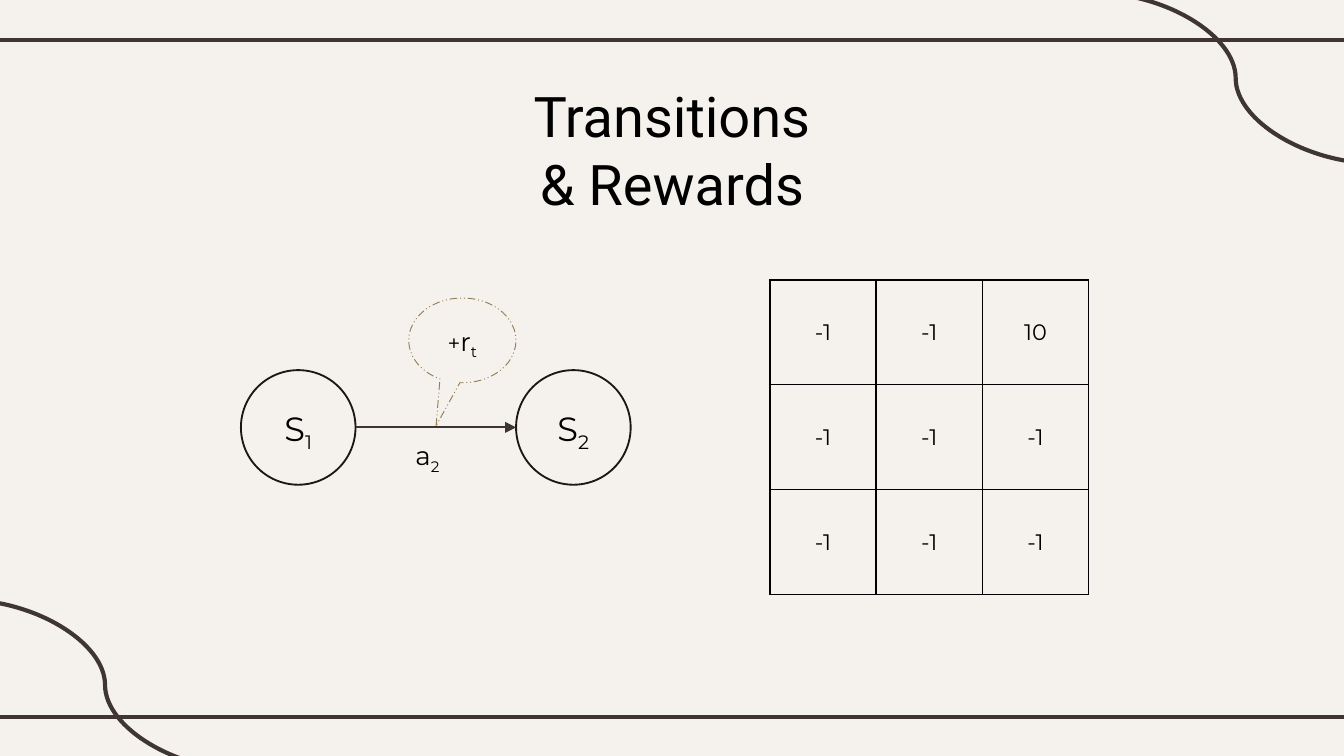
from dataclasses import dataclass

from lxml.etree import SubElement
from pptx import Presentation
from pptx.dml.color import RGBColor
from pptx.enum.dml import MSO_LINE
from pptx.enum.shapes import MSO_CONNECTOR, MSO_SHAPE
from pptx.enum.text import MSO_ANCHOR, MSO_AUTO_SIZE, PP_ALIGN
from pptx.oxml.ns import qn
from pptx.util import Pt


@dataclass(frozen=True)
class Theme:
    paper: RGBColor = RGBColor(0xF5, 0xF2, 0xEE)
    ink: RGBColor = RGBColor(0, 0, 0)
    ornament: RGBColor = RGBColor(0x3F, 0x35, 0x33)
    outline: RGBColor = RGBColor(0x1C, 0x17, 0x16)
    arrow: RGBColor = RGBColor(0x3E, 0x34, 0x32)
    bubble: RGBColor = RGBColor(0x98, 0x7D, 0x59)
    title_font: str = "Roboto"
    body_font: str = "Montserrat"
    title_size: int = 30
    state_size: int = 18
    action_size: int = 14
    small_size: int = 12


THEME = Theme()


def style_font(font, size, name=THEME.body_font):
    font.name = name
    font.size = Pt(size)
    font.color.rgb = THEME.ink


def add_title(page, text):
    title = page.shapes.title
    title.left, title.top, title.width, title.height = Pt(273), Pt(36.7), Pt(174), Pt(80)
    frame = title.text_frame
    frame.text = text
    frame.word_wrap = True
    frame.auto_size = MSO_AUTO_SIZE.NONE
    frame.vertical_anchor = MSO_ANCHOR.TOP
    frame.margin_left = frame.margin_right = Pt(7.2)
    frame.margin_top = frame.margin_bottom = Pt(7.2)
    para = frame.paragraphs[0]
    para.alignment = PP_ALIGN.CENTER
    style_font(para.font, THEME.title_size, THEME.title_font)


def add_line(page, start, end, color, width, kind=MSO_CONNECTOR.STRAIGHT):
    line = page.shapes.add_connector(kind, *map(Pt, start + end))
    line.line.color.rgb = color
    line.line.width = Pt(width)
    SubElement(line._element.spPr, qn("a:effectLst"))
    return line


def add_arrow(page, start, end):
    arrow = add_line(page, start, end, THEME.arrow, 1)
    SubElement(arrow.line._get_or_add_ln(), qn("a:tailEnd"), type="triangle")


def write_symbol(frame, spans, subscript):
    """Write (text, size) spans followed by a subscript of the last size."""
    frame.word_wrap = True
    para = frame.paragraphs[0]
    para.alignment = PP_ALIGN.CENTER
    para.line_spacing = 1.15
    para.space_after = Pt(10)
    for text, size in spans + [(subscript, spans[-1][1])]:
        span = para.add_run()
        span.text = text
        style_font(span.font, size)
    span._r.get_or_add_rPr().set("baseline", "-25000")


def add_outline(page, kind, area, color, width):
    shape = page.shapes.add_shape(kind, *map(Pt, area))
    shape.shadow.inherit = False
    shape.fill.background()
    shape.line.color.rgb = color
    shape.line.width = Pt(width)
    shape.text_frame.vertical_anchor = MSO_ANCHOR.MIDDLE
    return shape


def add_state(page, left, number):
    state = add_outline(page, MSO_SHAPE.OVAL, (left, 198.3, 61.4, 61.4), THEME.outline, 1)
    write_symbol(state.text_frame, [("S", THEME.state_size)], number)


def add_action(page):
    box = page.shapes.add_textbox(Pt(210.3), Pt(229), Pt(37.4), Pt(33))
    write_symbol(box.text_frame, [("a", THEME.action_size)], "2")


def add_reward(page):
    bubble = add_outline(page, MSO_SHAPE.OVAL_CALLOUT, (219, 159.7, 57.5, 45.4),
                         THEME.bubble, 0.5)
    bubble.line.dash_style = MSO_LINE.DASH_DOT_DOT
    bubble.adjustments[0] = -0.245
    bubble.adjustments[1] = 1.008
    spans = [("+", THEME.small_size), ("r", THEME.action_size)]
    write_symbol(bubble.text_frame, spans, "t")


def border_cell(cell):
    properties = cell._tc.get_or_add_tcPr()
    for position, side in enumerate(("lnL", "lnR", "lnT", "lnB")):
        edge = SubElement(properties, qn(f"a:{side}"), w=str(Pt(1)))
        fill = SubElement(edge, qn("a:solidFill"))
        SubElement(fill, qn("a:srgbClr"), val=str(THEME.ink))
        properties.insert(position, edge)  # borders precede the fill


def add_reward_grid(page, rewards):
    column_width, row_height = 56.9, 56.2
    rows, columns = len(rewards), len(rewards[0])
    table = page.shapes.add_table(
        rows, columns, Pt(412.5), Pt(149.9),
        Pt(columns * column_width), Pt(rows * row_height)).table
    table.first_row = table.horz_banding = False
    for row, values in enumerate(rewards):
        for column, value in enumerate(values):
            cell = table.cell(row, column)
            cell.text = str(value)
            cell.fill.background()
            cell.vertical_anchor = MSO_ANCHOR.MIDDLE
            cell.margin_left = cell.margin_right = Pt(4.5)
            cell.margin_top = cell.margin_bottom = Pt(2.25)
            para = cell.text_frame.paragraphs[0]
            para.alignment = PP_ALIGN.CENTER
            style_font(para.font, THEME.small_size)
            border_cell(cell)


def add_ornaments(page):
    for y in (21.4, 384):
        add_line(page, (-6, y), (726, y), THEME.ornament, 2.25)
    for x, y in ((-19.5, 321.3), (586.2, -3.8)):
        add_line(page, (x, y), (x + 151.6, y + 91.4), THEME.ornament, 2.25,
                 MSO_CONNECTOR.CURVE)


def main():
    deck = Presentation()
    deck.slide_width, deck.slide_height = Pt(720), Pt(405)
    page = deck.slides.add_slide(deck.slide_layouts.get_by_name("Title Only"))
    page.background.fill.solid()
    page.background.fill.fore_color.rgb = THEME.paper

    # Frame and heading
    add_ornaments(page)
    add_title(page, "Transitions & Rewards")

    # Reward grid
    add_reward_grid(page, [[-1, -1, 10], [-1, -1, -1], [-1, -1, -1]])

    # State transition
    add_state(page, 129.1, "1")
    add_state(page, 276.5, "2")
    add_action(page)
    add_arrow(page, (190.5, 229), (276.5, 229))
    add_reward(page)

    deck.save("out.pptx")


main()
